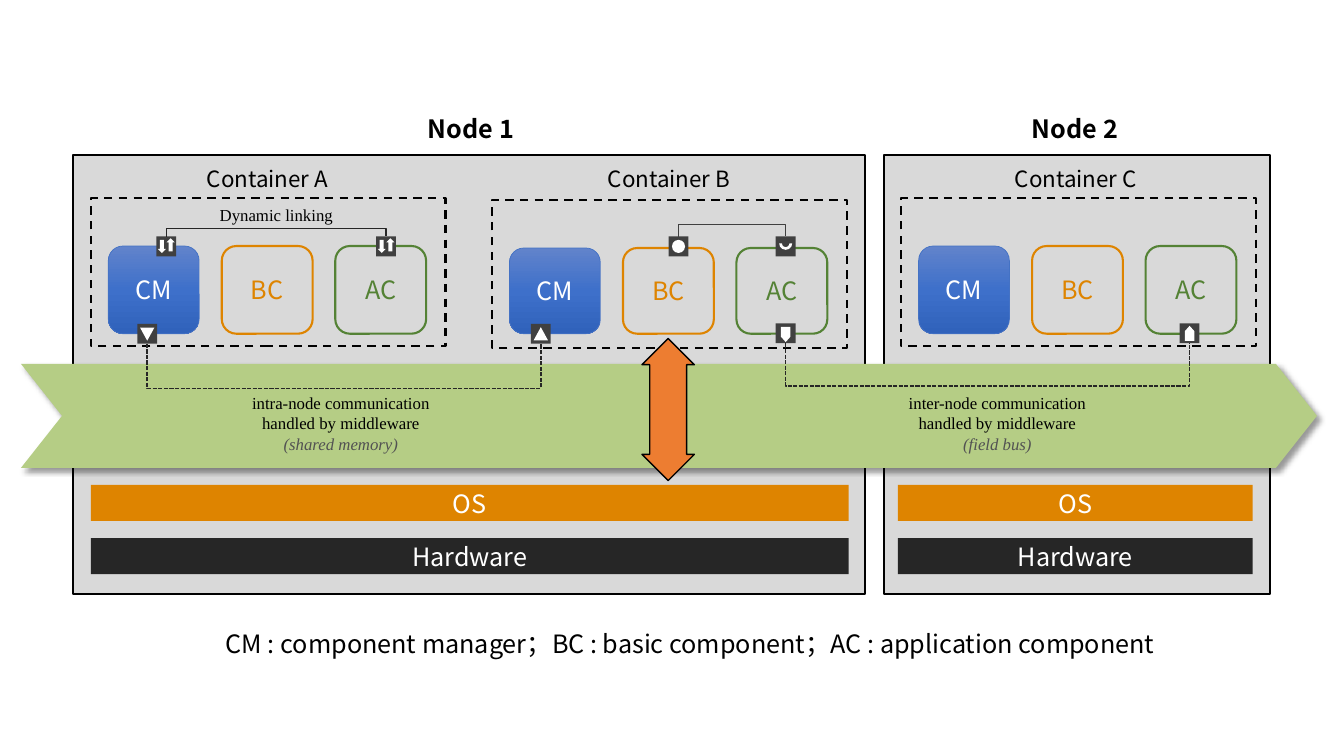
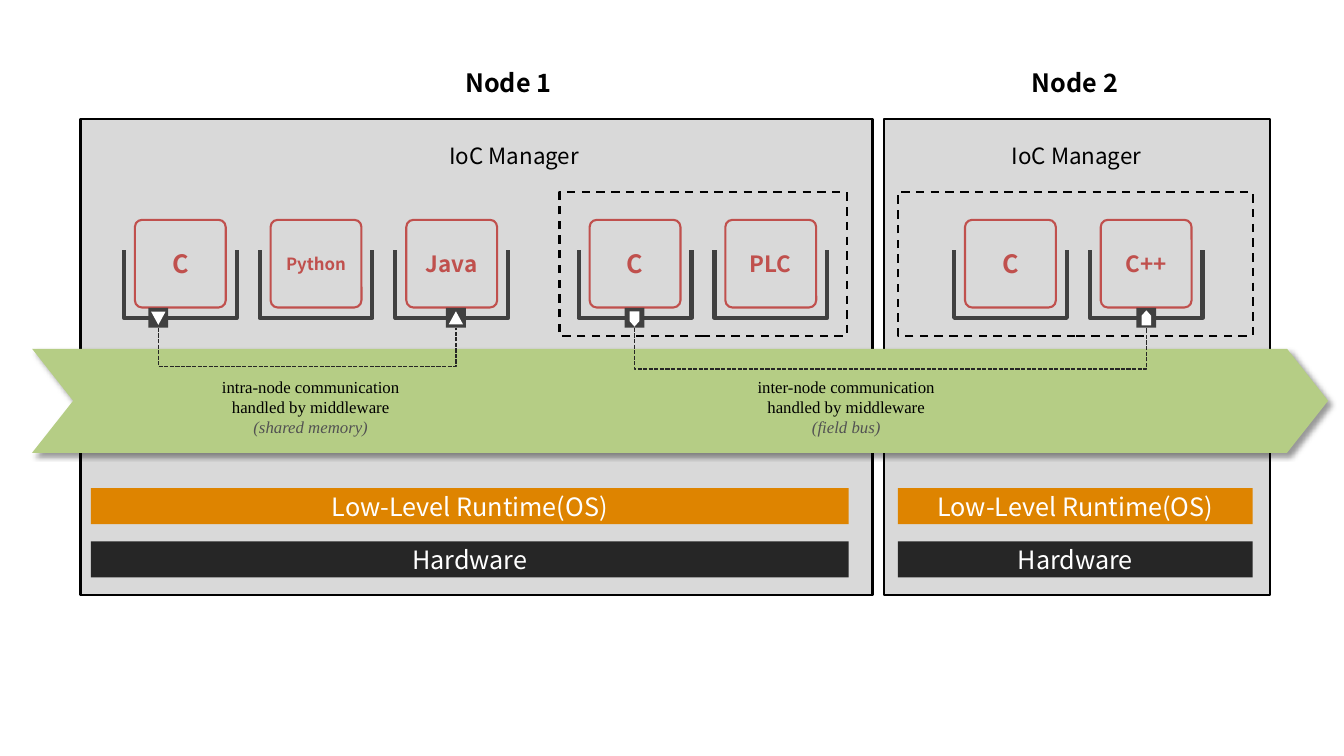
from copy import deepcopy
from lxml.etree import SubElement
from pptx import Presentation
from pptx.dml.color import RGBColor
from pptx.enum.dml import MSO_LINE
from pptx.enum.shapes import MSO_CONNECTOR, MSO_SHAPE
from pptx.enum.text import MSO_ANCHOR, PP_ALIGN
from pptx.oxml.ns import qn
from pptx.util import Cm, Pt

SANS, SERIF = "Noto Sans CJK SC", "Times New Roman"
BLACK, WHITE, GREY, DARK, INK = "000000", "FFFFFF", "D9D9D9", "404040", "262626"
ORANGE, GREEN, RED, BLUE = "DE8400", "548235", "C0504D", "4472C4"
BAND, ARROW, MUTED = "B5CD85", "ED7D31", "525252"
BLUE_STOPS = [(0, "6183CB"), (0.5, "3E70CA"), (1, "3062BB")]

TITLE = dict(size=Pt(18), name=SANS, bold=True)
LABEL = dict(size=Pt(16), name=SANS)
BODY = dict(size=Pt(18), name=SANS)
NOTE = dict(size=Pt(12), name=SERIF)
NOTE_ITALIC = dict(NOTE, italic=True)

BAR_SPANS = [(2.29, 19.1), (22.63, 8.94)]
BAR_H, BAR_PITCH = 0.91, 1.34
BOX_W, BOX_H = 2.29, 2.21
PORT = 0.5
BAND_SIZE = (32.66, 2.62)
NOTE_H = 1.8

GLYPHS = {
    "ball": [(MSO_SHAPE.OVAL, 0, 0, 0.33, 0.33, 0, [])],
    "socket": [(MSO_SHAPE.BLOCK_ARC, 0, -0.08, 0.33, 0.33, 180, [108, 216, 0.211])],
    "swap": [(MSO_SHAPE.RIGHT_ARROW, -0.11, 0, 0.33, 0.2, 90, []),
             (MSO_SHAPE.RIGHT_ARROW, 0.11, -0.04, 0.33, 0.2, 270, [])],
    "out": [(MSO_SHAPE.PENTAGON, 0, 0.03, 0.38, 0.24, 90, [0.562])],
    "in": [(MSO_SHAPE.PENTAGON, 0, 0, 0.38, 0.24, 270, [0.562])],
    "down": [(MSO_SHAPE.ISOSCELES_TRIANGLE, 0, 0.01, 0.36, 0.33, 180, [])],
    "up": [(MSO_SHAPE.ISOSCELES_TRIANGLE, 0, 0, 0.36, 0.33, 0, [])],
}

COMPONENTS = [("CM", WHITE, BLUE, 0.5), ("BC", ORANGE, ORANGE, 1.5), ("AC", GREEN, GREEN, 1.5)]
COMPONENT_PITCH = 2.86
CONTAINERS = [(2.29, 5.0, 6.2, 2.21), (12.4, 5.03, 6.25, 2.16), (22.71, 5.0, 6.2, 2.21)]
MODULE_GROUPS = [
    (3.4, [("C", 18), ("Python", 12), ("Java", 16)]),
    (14.86, [("C", 18), ("PLC", 16)]),
    (24.32, [("C", 18), ("C++", 16)]),
]
MODULE_PITCH, MODULE_Y, BRACKET_MID = 3.42, 5.54, 7.16
MODULE_FRAMES = [(14.1, 7.24), (22.63, 8.94)]

CONTAINER_SLIDE = dict(
    nodes=[(1.85, 3.91, 19.96, 11.07), (22.28, 3.91, 9.73, 11.07)],
    titles=[("Node 1", 9.98, 2.72), ("Node 2", 25.2, 2.72)],
    labels=[("Container A", 4.85, 4.04, 3.78), ("Container B", 13.69, 4.04, 6.35),
            ("Container C", 23.52, 4.04, 7.19)],
    runtime="OS", bars_y=12.22, band=(0.53, 9.17),
    notes=[("intra-node", "shared memory", 3.45, 9.78, 10.39),
           ("inter-node", "field bus", 19.02, 9.78, 12.34)],
    links=[("ball", "socket", 17.1, 19.8, 6.21, -0.31, DARK, None),
           ("swap", "swap", 4.19, 9.73, 6.21, -0.21, INK, None),
           ("out", "in", 19.8, 29.98, 8.4, 1.07, INK, MSO_LINE.SQUARE_DOT),
           ("down", "up", 3.71, 13.63, 8.41, 1.12, INK, MSO_LINE.SQUARE_DOT)],
)
MODULE_SLIDE = dict(
    nodes=[(2.03, 3.0, 19.96, 11.99), (22.28, 3.0, 9.73, 11.99)],
    titles=[("Node 1", 10.92, 1.57), ("Node 2", 25.2, 1.57)],
    labels=[("IoC Manager", 10.24, 3.45, 5.44), ("IoC Manager", 24.41, 3.45, 5.44)],
    runtime="Low-Level Runtime(OS)", bars_y=12.3, band=(0.81, 8.79),
    notes=[("intra-node", "shared memory", 2.69, 9.37, 10.39),
           ("inter-node", "field bus", 15.21, 9.37, 12.34)],
    links=[("out", "in", 15.99, 28.89, 8.01, 1.04, INK, MSO_LINE.SQUARE_DOT),
           ("down", "up", 3.99, 11.49, 8.01, 0.97, INK, MSO_LINE.SQUARE_DOT)],
)


def rgb(value):
    return RGBColor.from_string(value)


def write(tf, lines, align=PP_ALIGN.CENTER):
    tf.word_wrap = True
    for i, (text, color, fmt) in enumerate(lines):
        p = tf.add_paragraph() if i else tf.paragraphs[0]
        p.alignment = align
        r = p.add_run()
        r.text = text
        r.font.color.rgb = rgb(color)
        for key, value in fmt.items():
            setattr(r.font, key, value)
        SubElement(r.font._element, qn("a:ea"), typeface=fmt["name"])


def shape(s, kind, x, y, w, h, fill=None, line=None, width=1.5, dash=None,
          adj=(), rot=0, text=None):
    sp = s.shapes.add_shape(kind, Cm(x), Cm(y), Cm(w), Cm(h))
    sp.shadow.inherit = False
    sp.rotation = rot
    for i, value in enumerate(adj):
        sp.adjustments[i] = value
    if fill:
        sp.fill.solid()
        sp.fill.fore_color.rgb = rgb(fill)
    else:
        sp.fill.background()
    if line:
        sp.line.color.rgb = rgb(line)
        sp.line.width = Pt(width)
        sp.line.dash_style = dash
    else:
        sp.line.fill.background()
    if text:
        sp.text_frame.vertical_anchor = MSO_ANCHOR.MIDDLE
        write(sp.text_frame, [text])
    return sp


def textbox(s, x, y, w, h, lines, align=PP_ALIGN.CENTER):
    write(s.shapes.add_textbox(Cm(x), Cm(y), Cm(w), Cm(h)).text_frame, lines, align)


def frame(s, x, y, w, h):
    shape(s, MSO_SHAPE.RECTANGLE, x, y, w, h, line=BLACK, dash=MSO_LINE.DASH)


def blue_gradient(sp):
    sp.fill.gradient()
    sp.fill.gradient_angle = 270
    stops = sp._element.spPr.find(".//" + qn("a:gsLst"))
    stops.append(deepcopy(stops[0]))
    for stop, (position, color) in zip(sp.fill.gradient_stops, BLUE_STOPS):
        stop.position = position
        stop.color.rgb = rgb(color)


def port(s, glyph, x, y):
    shape(s, MSO_SHAPE.RECTANGLE, x - PORT / 2, y - PORT / 2, PORT, PORT, fill=DARK)
    for kind, dx, dy, w, h, rot, adj in GLYPHS[glyph]:
        shape(s, kind, x + dx - w / 2, y + dy - h / 2, w, h, fill=WHITE, adj=adj, rot=rot)


def link(s, left, right, x1, x2, y, depth, color, dash):
    port(s, left, x1, y)
    port(s, right, x2, y)
    edge = y + (PORT / 2 if depth > 0 else -PORT / 2)
    mid, half, thin = (x1 + x2) / 2, (x2 - x1) / 2, 0.01
    c = s.shapes.add_connector(MSO_CONNECTOR.ELBOW, Cm(mid + thin / 2), Cm(edge + half),
                               Cm(mid - thin / 2), Cm(edge - half))
    c.line.color.rgb = rgb(color)
    c.line.width = Pt(1)
    c.line.dash_style = dash
    pr = c._element.spPr
    pr.find(qn("a:xfrm")).set("rot", "5400000")
    guides = pr.find(qn("a:prstGeom")).get_or_add_avLst()
    SubElement(guides, qn("a:gd"), name="adj1", fmla=f"val {round(-depth / thin * 100000)}")
    SubElement(pr, qn("a:effectLst"))


def middleware(s, x, y):
    sp = shape(s, MSO_SHAPE.CHEVRON, x, y, *BAND_SIZE, fill=BAND, adj=[0.395])
    effects = sp._element.spPr.find(qn("a:effectLst"))
    shadow = SubElement(effects, qn("a:outerShdw"), blurRad=str(Pt(4)), dist=str(Pt(3)),
                        dir="2700000", algn="tl", rotWithShape="0")
    color = SubElement(shadow, qn("a:srgbClr"), val=BLACK)
    SubElement(color, qn("a:alpha"), val="40000")


def containers(s):
    for x, y, box_y, box_h in CONTAINERS:
        frame(s, x, y, 8.94, 3.73)
        for i, (name, ink, line, width) in enumerate(COMPONENTS):
            sp = shape(s, MSO_SHAPE.ROUNDED_RECTANGLE, x + 0.44 + i * COMPONENT_PITCH, box_y,
                       BOX_W, box_h, line=line, width=width, text=(name, ink, BODY))
            if name == "CM":
                blue_gradient(sp)


def modules(s):
    for x, w in MODULE_FRAMES:
        frame(s, x, 4.85, w, 3.61)
    for start, names in MODULE_GROUPS:
        for i, (name, size) in enumerate(names):
            x = start + i * MODULE_PITCH
            w, h = 1.7, 2.84
            shape(s, MSO_SHAPE.LEFT_BRACKET, x + BOX_W / 2 - w / 2, BRACKET_MID - h / 2, w, h,
                  line=DARK, width=3, adj=[0], rot=270)
            shape(s, MSO_SHAPE.ROUNDED_RECTANGLE, x, MODULE_Y, BOX_W, BOX_H, line=RED,
                  adj=[0.082], text=(name, RED, dict(TITLE, size=Pt(size))))


def build(prs, content, draw_units):
    s = prs.slides.add_slide(prs.slide_layouts[6])
    for box in content["nodes"]:
        shape(s, MSO_SHAPE.ROUNDED_RECTANGLE, *box, fill=GREY, line=BLACK, adj=[0])
    for x, w in BAR_SPANS:
        for i, (name, fill) in enumerate([(content["runtime"], ORANGE), ("Hardware", INK)]):
            shape(s, MSO_SHAPE.RECTANGLE, x, content["bars_y"] + i * BAR_PITCH, w, BAR_H,
                  fill=fill, text=(name, WHITE, BODY))
    for name, x, y in content["titles"]:
        textbox(s, x, y, 3.78, 1.02, [(name, BLACK, TITLE)])
    for name, x, y, w in content["labels"]:
        textbox(s, x, y, w, 0.94, [(name, BLACK, LABEL)])
    draw_units(s)
    middleware(s, *content["band"])
    for item in content["links"]:
        link(s, *item)
    for scope, medium, x, y, w in content["notes"]:
        textbox(s, x, y, w, NOTE_H, [(f"{scope} communication ", BLACK, NOTE),
                                     ("handled by middleware ", BLACK, NOTE),
                                     (f"({medium}) ", MUTED, NOTE_ITALIC)])
    return s


prs = Presentation()
prs.slide_width, prs.slide_height = Cm(33.87), Cm(19.05)

s = build(prs, CONTAINER_SLIDE, containers)
shape(s, MSO_SHAPE.UP_DOWN_ARROW, 16.18, 8.53, 1.32, 3.58, fill=ARROW, line=BLACK, width=1,
      adj=[0.434, 0.706])
textbox(s, 5.11, 5.03, 3.71, 0.76, [("Dynamic linking", BLACK, NOTE)])
textbox(s, 5.44, 15.72, 25.93, 1.02,
        [("CM : component manager；BC : basic component；AC : application component", BLACK, BODY)],
        PP_ALIGN.LEFT)

build(prs, MODULE_SLIDE, modules)

prs.save("out.pptx")
